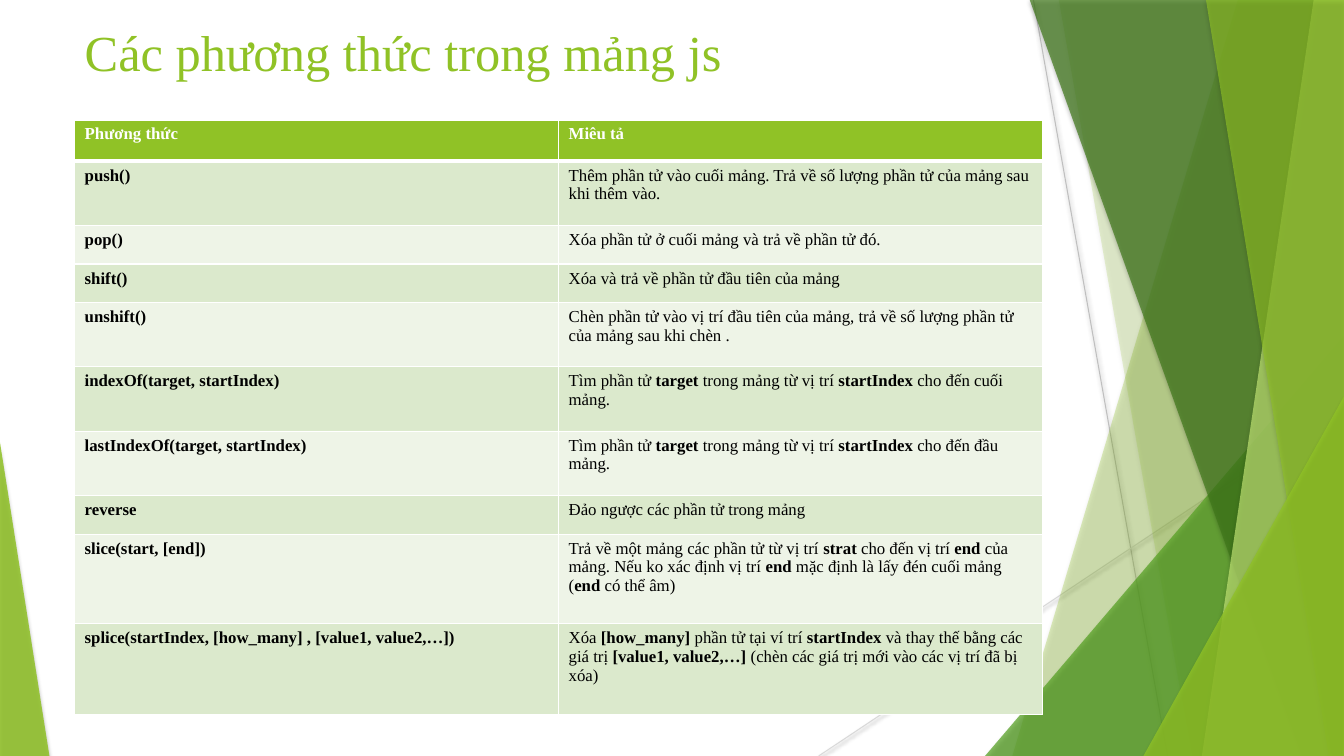
from lxml import etree
from pptx import Presentation
from pptx.dml.color import RGBColor
from pptx.enum import shapes, text
from pptx.oxml import ns, parse_xml
from pptx.util import Inches, Pt

LIME = RGBColor(0x90, 0xC2, 0x26)
GREEN = RGBColor(0x54, 0xA0, 0x21)
DARK_GREEN = RGBColor(0x3F, 0x78, 0x19)
PALE_LIME = RGBColor(0xC0, 0xE4, 0x74)
BAND_DARK = RGBColor(0xDB, 0xE9, 0xCC)
BAND_LIGHT = RGBColor(0xEE, 0xF4, 0xE7)
SILVER = RGBColor(0xBF, 0xBF, 0xBF)
LIGHT_GRAY = RGBColor(0xD9, 0xD9, 0xD9)
WHITE = RGBColor(0xFF, 0xFF, 0xFF)
BLACK = RGBColor(0, 0, 0)


def write_text(frame, content, size=12, color=BLACK, bold=False):
    paragraph = frame.paragraphs[0]
    paragraph.alignment = text.PP_ALIGN.LEFT
    for index, part in enumerate(content.split("**")):
        if part:
            run = paragraph.add_run()
            run.text = part
            run.font.name = "Times New Roman"
            run.font.size = Pt(size)
            run.font.bold = bold or index % 2 == 1
            run.font.color.rgb = color


def add_shadow(shape, alpha=35, blur=3, distance=2):
    shape._element.spPr.append(parse_xml(
        f'<a:effectLst {ns.nsdecls("a")}><a:outerShdw blurRad="{Pt(blur)}" '
        f'dist="{Pt(distance)}" dir="5400000" algn="ctr" rotWithShape="0">'
        f'<a:srgbClr val="000000"><a:alpha val="{alpha * 1000}"/></a:srgbClr>'
        '</a:outerShdw></a:effectLst>'))


presentation = Presentation()
presentation.slide_width = Inches(13.33)
presentation.slide_height = Inches(7.5)
slide = presentation.slides.add_slide(presentation.slide_layouts[5])

rays = [(10.25, 0, 11.58, 7.5, SILVER), (13.33, 4.03, 8.12, 7.5, LIGHT_GRAY)]
for left, top, right, bottom, color in rays:
    ray = slide.shapes.add_connector(
        shapes.MSO_CONNECTOR.STRAIGHT,
        Inches(left), Inches(top), Inches(right), Inches(bottom))
    ray.line.color.rgb = color
    ray.line.width = Pt(0.75)
    add_shadow(ray, alpha=38, blur=3.1, distance=1.6)

# Bands give top and bottom x; triangles give left, top, width and apex.
facets = [
    ("band", (12.28, 10.04), LIME, 30),
    ("band", (10.5, 11.82), LIME, 20),
    ("triangle", (9.77, 3.33, 3.56, 1), GREEN, 72),
    ("band", (10.21, 12.91), DARK_GREEN, 70),
    ("band", (13.03, 11.92), PALE_LIME, 70),
    ("band", (11.96, 13.18), LIME, 65),
    ("triangle", (11.34, 3.93, 1.99, 1), LIME, 80),
    ("triangle", (0, 4.39, 0.49, 0), LIME, 85),
]
for kind, geometry, color, opacity in facets:
    if kind == "band":
        top_x, bottom_x = geometry
        builder = slide.shapes.build_freeform(Inches(top_x), Inches(-0.01))
        corners = [(13.33, -0.01), (13.33, 7.5), (bottom_x, 7.5)]
        builder.add_line_segments([(Inches(x), Inches(y)) for x, y in corners])
        facet = builder.convert_to_shape()
    else:
        left, top, width, apex = geometry
        facet = slide.shapes.add_shape(
            shapes.MSO_SHAPE.ISOSCELES_TRIANGLE,
            Inches(left), Inches(top), Inches(width), Inches(7.5 - top))
        facet.adjustments[0] = apex
    facet.fill.solid()
    facet.fill.fore_color.rgb = color
    color_element = facet._element.spPr.find(".//" + ns.qn("a:srgbClr"))
    etree.SubElement(color_element, ns.qn("a:alpha"), val=str(opacity * 1000))
    facet.line.fill.background()
    add_shadow(facet)

title = slide.shapes.title
title.left, title.top = Inches(0.74), Inches(0.14)
title.width, title.height = Inches(9.4), Inches(0.72)
title.text_frame.auto_size = text.MSO_AUTO_SIZE.NONE
title.text_frame.vertical_anchor = text.MSO_ANCHOR.BOTTOM
write_text(title.text_frame, "Các phương thức trong mảng js", size=36, color=LIME)

methods = [
    (0.41, "Phương thức", "Miêu tả"),
    (0.64, "push()", "Thêm phần tử vào cuối mảng. Trả về số lượng phần tử của mảng sau khi thêm vào."),
    (0.38, "pop()", "Xóa phần tử ở cuối mảng và trả về phần tử đó."),
    (0.38, "shift()", "Xóa và trả về phần tử đầu tiên của mảng"),
    (0.64, "unshift()", "Chèn phần tử vào vị trí đầu tiên của mảng, trả về số lượng phần tử của mảng sau khi chèn ."),
    (0.64, "indexOf(target, startIndex)",
     "Tìm phần tử **target** trong mảng từ vị trí **startIndex** cho đến cuối mảng."),
    (0.64, "lastIndexOf(target, startIndex)",
     "Tìm phần tử **target** trong mảng từ vị trí **startIndex** cho đến đầu mảng."),
    (0.38, "reverse", "Đảo ngược các phần tử trong mảng"),
    (0.89, "slice(start, [end])",
     "Trả về một mảng các phần tử từ vị trí **strat** cho đến vị trí **end **của mảng. "
     "Nếu ko xác định vị trí **end** mặc định là lấy đén cuối mảng (**end** có thể âm)"),
    (0.9, "splice(startIndex, [how_many] , [value1, value2,…])",
     "Xóa **[how_many] **phần tử tại ví trí **startIndex **và thay thế bằng các giá trị "
     "**[value1, value2,…] **(chèn các giá trị mới vào các vị trí đã bị xóa)"),
]
table = slide.shapes.add_table(
    len(methods), 2, Inches(0.74), Inches(1.19), Inches(9.6), Inches(5.9)).table
for row, (height, *contents) in enumerate(methods):
    table.rows[row].height = Inches(height)
    fill_color = LIME if row == 0 else (BAND_LIGHT, BAND_DARK)[row % 2]
    for column, content in enumerate(contents):
        cell = table.cell(row, column)
        cell.fill.solid()
        cell.fill.fore_color.rgb = fill_color
        write_text(cell.text_frame, content, color=BLACK if row else WHITE,
                   bold=row == 0 or column == 0)
        properties = cell._tc.get_or_add_tcPr()
        for index, side in enumerate("LRTB"):
            thick = (row, side) in [(0, "B"), (1, "T")]
            properties.insert(index, parse_xml(
                f'<a:ln{side} {ns.nsdecls("a")} w="{Pt(3 if thick else 0.96)}">'
                f'<a:solidFill><a:srgbClr val="{WHITE}"/></a:solidFill></a:ln{side}>'))

presentation.save("out.pptx")
